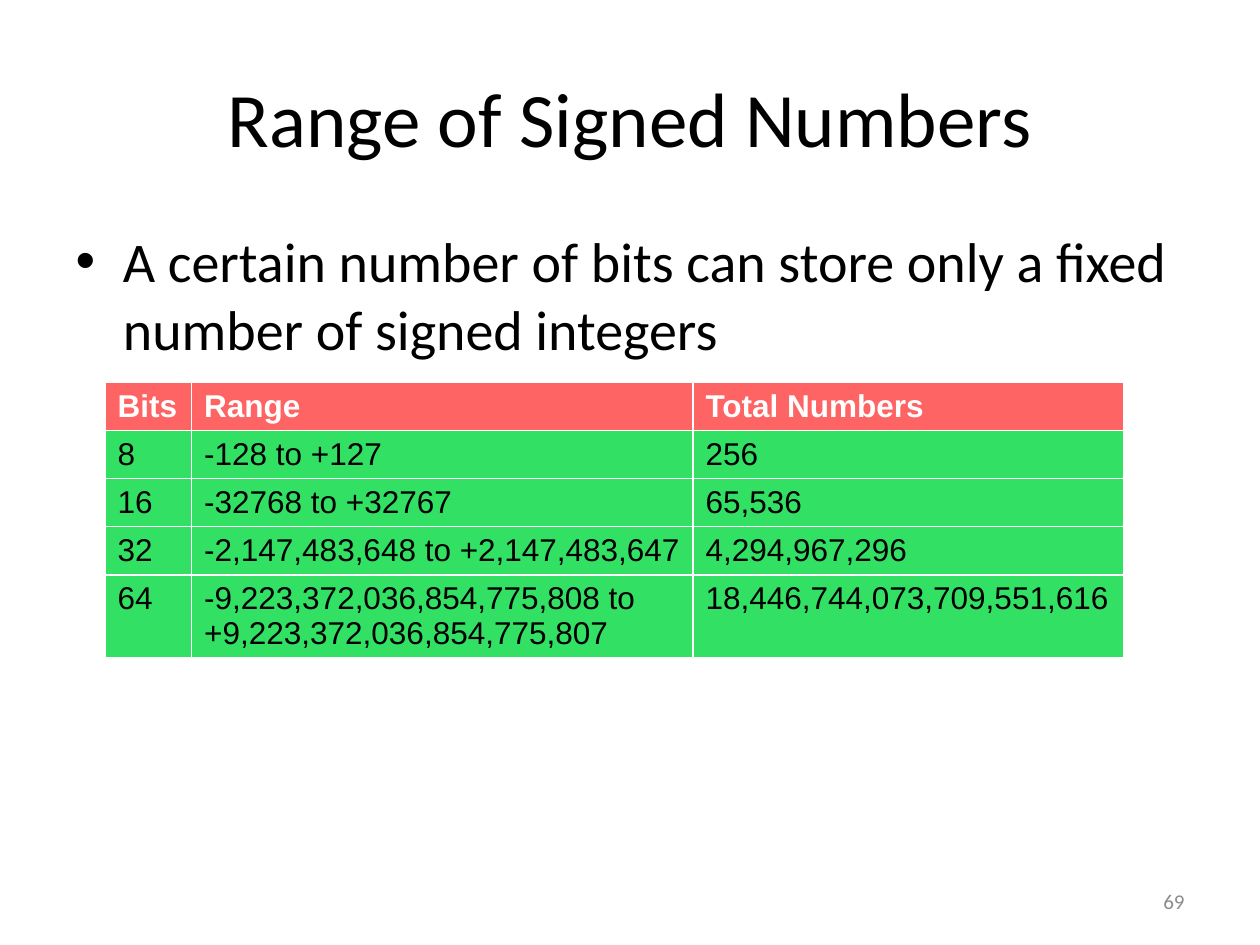
"""Build the slide on the range of signed numbers."""
from dataclasses import dataclass

from pptx import Presentation
from pptx.dml.color import RGBColor
from pptx.enum import text
from pptx.util import Pt


@dataclass(frozen=True)
class Theme:
    heading_font: str = "Calibri"
    table_font: str = "Arial"
    black: str = "000000"
    white: str = "FFFFFF"
    grey: str = "8C8C8C"
    header_fill: str = "FF6464"
    row_fill: str = "32E164"
    title_size: int = 44
    body_size: int = 32
    table_size: int = 18
    number_size: int = 12


theme = Theme()


def style_text(frame, family, size, color, bold=False):
    for paragraph in frame.paragraphs:
        for run in paragraph.runs:
            run.font.name = family
            run.font.size = Pt(size)
            run.font.bold = bold
            run.font.color.rgb = RGBColor.from_string(color)


def place(item, left, top, width, height):
    item.left, item.top = Pt(left), Pt(top)
    item.width, item.height = Pt(width), Pt(height)


deck = Presentation()
deck.slide_width, deck.slide_height = Pt(720), Pt(540)
slide = deck.slides.add_slide(deck.slide_layouts[1])

title = slide.shapes.title
place(title, 36, 21.6, 648, 90)
title.text_frame.text = "Range of Signed Numbers"
style_text(title.text_frame, theme.heading_font, theme.title_size, theme.black)

statement = slide.placeholders[1]
place(statement, 36, 126, 648, 356.4)
statement.text_frame.text = (
    "A certain number of bits can store only a fixed number of signed integers"
)
style_text(statement.text_frame, theme.heading_font, theme.body_size, theme.black)

ranges = [
    ("Bits", "Range", "Total Numbers"),
    ("8", "-128 to +127", "256"),
    ("16", "-32768 to +32767", "65,536"),
    ("32", "-2,147,483,648 to +2,147,483,647", "4,294,967,296"),
    (
        "64",
        "-9,223,372,036,854,775,808 to +9,223,372,036,854,775,807",
        "18,446,744,073,709,551,616",
    ),
]
column_widths = [49.5, 286.5, 246]
row_heights = [27.5] * 4 + [46.5]

range_table = slide.shapes.add_table(
    len(ranges), len(column_widths), Pt(60), Pt(218.5),
    Pt(sum(column_widths)), Pt(sum(row_heights)),
).table
range_table.horz_banding = False
for column, width in zip(range_table.columns, column_widths):
    column.width = Pt(width)
for row_index, (row, height, values) in enumerate(
    zip(range_table.rows, row_heights, ranges)
):
    row.height = Pt(height)
    is_header = row_index == 0
    for cell, value in zip(row.cells, values):
        cell.fill.solid()
        cell.fill.fore_color.rgb = RGBColor.from_string(
            theme.header_fill if is_header else theme.row_fill
        )
        cell.text_frame.text = value
        style_text(
            cell.text_frame, theme.table_font, theme.table_size,
            theme.white if is_header else theme.black, is_header,
        )

page_number = slide.shapes.add_textbox(Pt(516), Pt(500.5), Pt(168), Pt(28.75)).text_frame
page_number.word_wrap = True
page_number.vertical_anchor = text.MSO_ANCHOR.MIDDLE
page_number.text = "69"
page_number.paragraphs[0].alignment = text.PP_ALIGN.RIGHT
style_text(page_number, theme.heading_font, theme.number_size, theme.grey)

deck.save("out.pptx")
